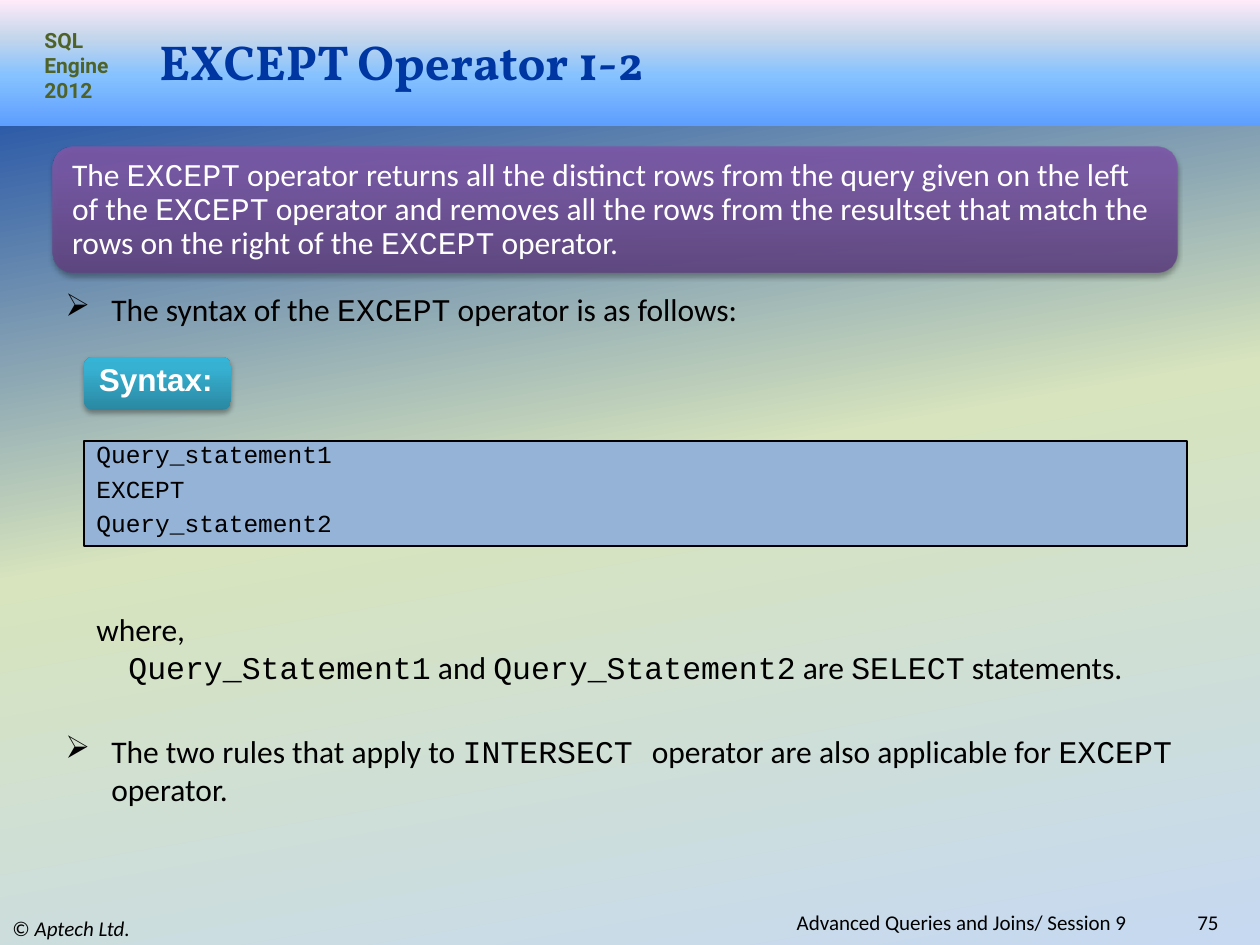
import pptx
import pptx.util
import pptx.oxml
import pptx.oxml.ns
import pptx.dml.color
import pptx.enum.shapes
import pptx.enum.text
from dataclasses import dataclass

PX = 914400 // 126  # EMU in one px
Pt = pptx.util.Pt
RGB = pptx.dml.color.RGBColor.from_string
SHAPE = pptx.enum.shapes.MSO_SHAPE
ALIGN = pptx.enum.text.PP_ALIGN
ANCHOR = pptx.enum.text.MSO_ANCHOR
NS = pptx.oxml.ns.nsdecls("a")


@dataclass
class Theme:
    black: str = "000000"
    white: str = "FFFFFF"
    title: str = "0036A2"
    badge: str = "4F6228"
    code_fill: str = "95B3D7"
    background: tuple = ((0, "0036A2"), (50, "D7E4BD"), (100, "C6D9F1"))
    header: tuple = ((0, "5E9EFF"), (40, "85C2FF"), (70, "C4D6EB"), (100, "FFEBFA"))
    purple: tuple = ((0, "5F4480"), (80, "7B58A6"), (100, "7C57A8"))
    teal: tuple = ((0, "2A88A2"), (80, "37B1D2"), (100, "34B4D6"))
    body_font: str = "Calibri"
    code_font: str = "Courier New"
    title_size: int = 28
    body_size: int = 18
    code_size: int = 14
    small_size: int = 12


T = Theme()


def gradient(fill, element, stops, angle, alpha=100):
    """Fill with the given stops; the angle runs clockwise from the left."""
    fill.gradient()
    fill.gradient_angle = 360 - angle
    stop_list = element.xpath(".//a:gradFill/a:gsLst")[0]
    for old in list(stop_list):
        stop_list.remove(old)
    for position, color in stops:
        stop_list.append(pptx.oxml.parse_xml(
            f'<a:gs {NS} pos="{position * 1000}"><a:srgbClr val="{color}">'
            f'<a:alpha val="{alpha * 1000}"/></a:srgbClr></a:gs>'))


def write(sp, lines, size=T.body_size, color=T.black, font=T.body_font, bold=False,
          align=ALIGN.LEFT, anchor=ANCHOR.TOP, spacing=None, before=0):
    """Set the lines of a shape; words between backticks take the code font."""
    tf = sp.text_frame
    tf.word_wrap = True
    tf.vertical_anchor = anchor
    for i, line in enumerate(lines):
        p = tf.paragraphs[0] if i == 0 else tf.add_paragraph()
        p.alignment = align
        if spacing:
            p.line_spacing = spacing
        if i and before:
            p.space_before = Pt(before)
        for j, words in enumerate(line.split("`")):
            if words:
                r = p.add_run()
                r.text = words
                r.font.name = T.code_font if j % 2 else font
                r.font.size = Pt(size)
                r.font.bold = bold
                r.font.color.rgb = RGB(color)
    return tf


prs = pptx.Presentation()
prs.slide_width, prs.slide_height = 1260 * PX, 945 * PX
s = prs.slides.add_slide(prs.slide_layouts[6])
gradient(s.background.fill, s.element, T.background, 80)

# Header band, panel and label with gradient fills
blocks = []
for kind, box, stops, alpha, raised in (
        (SHAPE.RECTANGLE, (0, 0, 1260, 126), T.header, 100, False),
        (SHAPE.ROUNDED_RECTANGLE, (53, 147, 1124, 126), T.purple, 90, True),
        (SHAPE.ROUNDED_RECTANGLE, (84, 357, 147, 53), T.teal, 100, True)):
    sp = s.shapes.add_shape(kind, *(n * PX for n in box))
    gradient(sp.fill, sp.element, stops, 270, alpha)
    sp.line.fill.background()
    sp.shadow.inherit = False
    if raised:
        sp.element.xpath(".//a:effectLst")[0].append(pptx.oxml.parse_xml(
            f'<a:outerShdw {NS} blurRad="40000" dist="23000" dir="5400000" rotWithShape="0">'
            f'<a:srgbClr val="{T.black}"><a:alpha val="35000"/></a:srgbClr></a:outerShdw>'))
    blocks.append(sp)
header, panel, label = blocks
write(label, ["Syntax:"], color=T.white, font="Arial", bold=True,
      anchor=ANCHOR.MIDDLE, spacing=0.7)

# Code block
code = s.shapes.add_shape(SHAPE.RECTANGLE, 84 * PX, 441 * PX, 1103 * PX, 105 * PX)
code.shadow.inherit = False
code.fill.solid()
code.fill.fore_color.rgb = RGB(T.code_fill)
code.line.color.rgb = RGB(T.black)
code.line.width = Pt(0.75)
write(code, ["Query_statement1", "EXCEPT", "Query_statement2"], size=T.code_size,
      font=T.code_font, spacing=0.7, before=8)

# Text boxes: place, lines, style
middle = dict(anchor=ANCHOR.MIDDLE)
small = dict(size=T.small_size, **middle)
texts = {}
for name, box, lines, style in (
        ("badge", (32, 21, 95, 89), ["SQL Engine 2012"],
         dict(size=T.small_size, color=T.badge, font="Roboto", bold=True)),
        ("title", (147, 32, 1050, 57), ["EXCEPT Operator 1-2"],
         dict(size=T.title_size, color=T.title, font="Vollkorn", bold=True, **middle)),
        ("definition", (62, 154, 1104, 113),
         ["The `EXCEPT` operator returns all the distinct rows from the query given on the "
          "left of the `EXCEPT` operator and removes all the rows from the resultset that "
          "match the rows on the right of the `EXCEPT` operator."],
         dict(color=T.white, spacing=0.9, **middle)),
        ("syntax", (53, 284, 1176, 50),
         ["The syntax of the `EXCEPT` operator is as follows:"], {}),
        ("where", (84, 604, 1166, 89),
         ["where,", "`Query_Statement1` and `Query_Statement2` are `SELECT` statements."], {}),
        ("rules", (53, 726, 1176, 89),
         ["The two rules that apply to `INTERSECT `operator are also applicable for "
          "`EXCEPT` operator."], {}),
        ("copyright", (0, 911, 420, 34), ["© `Aptech Ltd."], small),
        ("session", (315, 911, 829, 23), ["Advanced Queries and Joins/ Session 9 "],
         dict(align=ALIGN.RIGHT, **small)),
        ("number", (1124, 911, 107, 23), ["75"], dict(align=ALIGN.RIGHT, **small))):
    sp = s.shapes.add_textbox(*(n * PX for n in box))
    texts[name] = write(sp, lines, **style)

# Paragraph details
tf = texts["definition"]
tf.margin_left = tf.margin_right = tf.margin_top = tf.margin_bottom = 10 * PX
owner = texts["copyright"].paragraphs[0].runs[1]
owner.font.name = T.body_font
owner.font.italic = True
texts["where"].paragraphs[1].runs[0].font.name = T.code_font
pPr = texts["where"].paragraphs[1]._p.get_or_add_pPr()
pPr.set("marL", str(32 * PX))
for name in ("syntax", "rules"):
    pPr = texts[name].paragraphs[0]._p.get_or_add_pPr()
    pPr.set("marL", str(46 * PX))
    pPr.set("indent", str(-46 * PX))
    pPr.append(pptx.oxml.parse_xml(f'<a:buChar {NS} char="➢"/>'))

prs.save("out.pptx")
